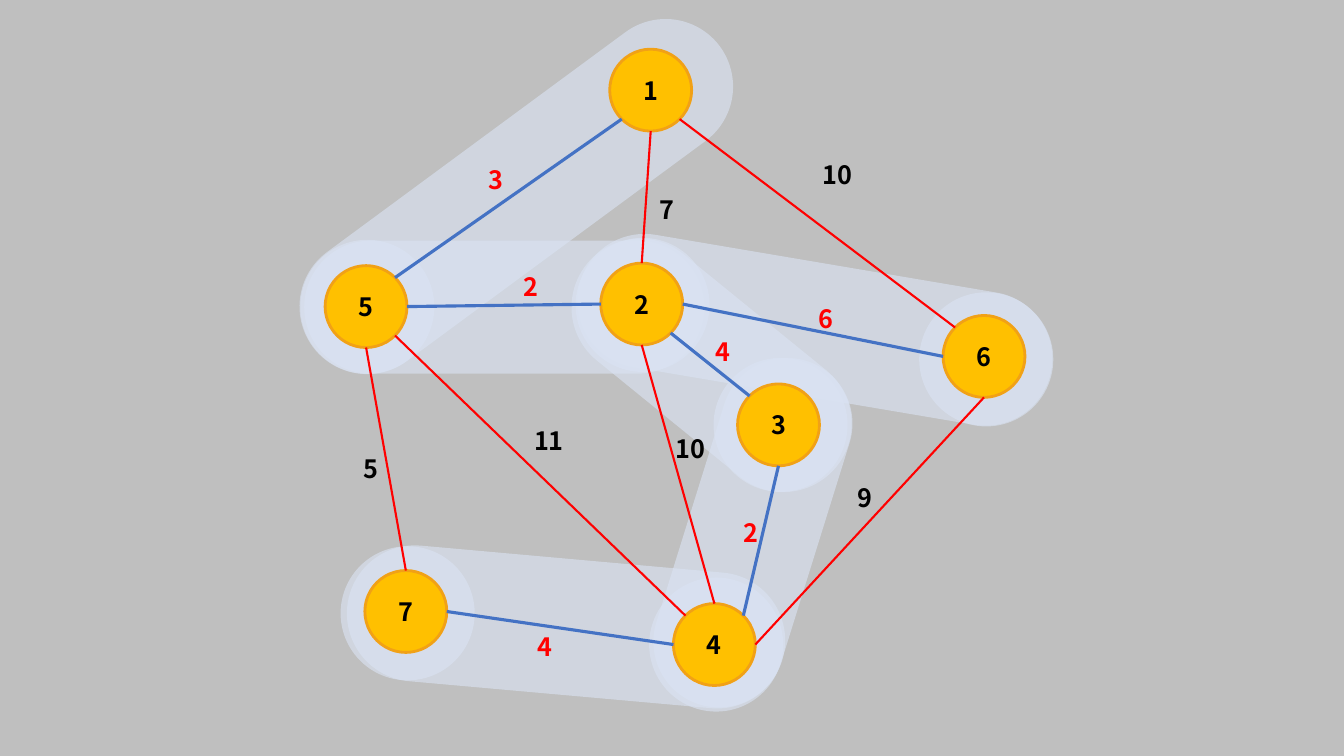
import math
from dataclasses import dataclass

import pptx
import pptx.util
import pptx.dml.color
import pptx.enum.shapes
import pptx.enum.text
from lxml import etree

Pt = pptx.util.Pt
RGB = pptx.dml.color.RGBColor.from_string
KIND = pptx.enum.shapes.MSO_SHAPE
A = "{http://schemas.openxmlformats.org/drawingml/2006/main}"


@dataclass(frozen=True)
class Theme:
    back: str = "BFBFBF"
    halo: str = "DAE3F3"
    alpha: int = 63
    node: str = "FFC000"
    rim: str = "F1A116"
    tree: str = "4472C4"
    rest: str = "FF0000"
    text: str = "000000"
    mark: str = "FF0000"
    font: str = "Noto Sans CJK KR"
    size: float = 18
    rimline: float = 2
    treeline: float = 2.25
    restline: float = 1.5


THEME = Theme()
NODE = 58.5
CAP = 95.8

NODES = {
    1: (464.8, 64.4), 6: (702.9, 254.6), 5: (261.5, 219), 4: (510.3, 460.4),
    7: (289.9, 436.8), 3: (556.1, 303.5), 2: (458.4, 217.2),
}
BANDS = [
    (582.1, 235.6, 95.8, 342.7, 99.6),
    (404.3, 447.8, 97.2, 313.9, 95.1),
    (537.8, 380.5, 93.6, 257, 197.3),
    (508.3, 261, 97.9, 229.7, 129.1),
    (368.8, 140.4, 96.5, 361.4, 53.6),
    (360.2, 219.4, 95, 285.8, 90),
]
CAPS = [
    (704.5, 256.7), (291.2, 438.1), (511.6, 460.4),
    (557.6, 303.5), (459, 217.8), (262.4, 219.2),
]
SITES = {"E": 0, "SE": 45, "S": 90, "SW": 135, "W": 180, "NW": 225, "N": 270, "NE": 315}
EDGES = [
    (1, "SE", 6, "NW", False, "10", 580.3, 110.2),
    (5, "NE", 1, "SW", True, "3", 342, 113.8),
    (2, "E", 6, "W", True, "6", 577.4, 213.1),
    (3, "S", 4, "NE", True, "2", 524.2, 365.8),
    (4, "E", 6, "S", False, "9", 605.5, 340.9),
    (2, "SE", 3, "NW", True, "4", 504, 236.9),
    (5, "S", 7, "N", False, "5", 252.7, 320.4),
    (1, "S", 2, "N", False, "7", 463.7, 135.4),
    (5, "E", 2, "W", True, "2", 366.5, 190.1),
    (2, "S", 4, "N", False, "10", 475.4, 306),
    (7, "E", 4, "W", True, "4", 376.9, 447.1),
    (5, "SE", 4, "NW", False, "11", 374.4, 300.2),
]


def style(para, color):
    para.font.name = THEME.font
    para.font.size = Pt(THEME.size)
    para.font.bold = True
    para.font.color.rgb = RGB(color)


def shape(slide, kind, x, y, w, h, color):
    item = slide.shapes.add_shape(kind, Pt(x - w / 2), Pt(y - h / 2), Pt(w), Pt(h))
    item.shadow.inherit = False
    item.fill.solid()
    item.fill.fore_color.rgb = RGB(color)
    item.line.fill.background()
    return item


def halo(slide, kind, x, y, w, h, turn=0):
    item = shape(slide, kind, x, y, w, h, THEME.halo)
    item.rotation = turn
    if kind == KIND.ROUNDED_RECTANGLE:
        item.adjustments[0] = 0.5
    tint = item.fill._xPr.find(f"{A}solidFill/{A}srgbClr")
    etree.SubElement(tint, f"{A}alpha", val=str(THEME.alpha * 1000))


def node(slide, name, x, y):
    item = shape(slide, KIND.OVAL, x, y, NODE, NODE, THEME.node)
    item.line.color.rgb = RGB(THEME.rim)
    item.line.width = Pt(THEME.rimline)
    frame = item.text_frame
    frame.vertical_anchor = pptx.enum.text.MSO_ANCHOR.MIDDLE
    para = frame.paragraphs[0]
    para.text = str(name)
    para.alignment = pptx.enum.text.PP_ALIGN.CENTER
    style(para, THEME.text)


def site(name, side):
    x, y = NODES[name]
    angle = math.radians(SITES[side])
    return x + NODE / 2 * math.cos(angle), y + NODE / 2 * math.sin(angle)


def edge(slide, start, end, tree):
    kind = pptx.enum.shapes.MSO_CONNECTOR.STRAIGHT
    item = slide.shapes.add_connector(kind, *map(Pt, start + end))
    item.line.color.rgb = RGB(THEME.tree if tree else THEME.rest)
    item.line.width = Pt(THEME.treeline if tree else THEME.restline)
    etree.SubElement(item._element.spPr, f"{A}effectLst")


def label(slide, text, x, y, tree):
    width = 25.2 if len(text) == 1 else 36.5
    frame = slide.shapes.add_textbox(Pt(x), Pt(y), Pt(width), Pt(28.8)).text_frame
    frame.word_wrap = False
    frame.auto_size = pptx.enum.text.MSO_AUTO_SIZE.SHAPE_TO_FIT_TEXT
    para = frame.paragraphs[0]
    para.text = text
    style(para, THEME.mark if tree else THEME.text)


def graph(slide, left, top):
    for x, y, w, h, turn in BANDS:
        halo(slide, KIND.ROUNDED_RECTANGLE, left + x, top + y, w, h, turn)
    for x, y in CAPS:
        halo(slide, KIND.OVAL, left + x, top + y, CAP, CAP)
    for name, (x, y) in NODES.items():
        node(slide, name, left + x, top + y)
    for a, out, b, into, tree, *_ in EDGES:
        ends = [(left + x, top + y) for x, y in (site(a, out), site(b, into))]
        edge(slide, *ends, tree)
    for *_, tree, text, x, y in EDGES:
        label(slide, text, left + x, top + y, tree)


def main():
    deck = pptx.Presentation()
    deck.slide_width, deck.slide_height = Pt(960), Pt(540)
    slide = deck.slides.add_slide(deck.slide_layouts[6])
    slide.background.fill.solid()
    slide.background.fill.fore_color.rgb = RGB(THEME.back)
    graph(slide, 0, 0)
    deck.save("out.pptx")


if __name__ == "__main__":
    main()
